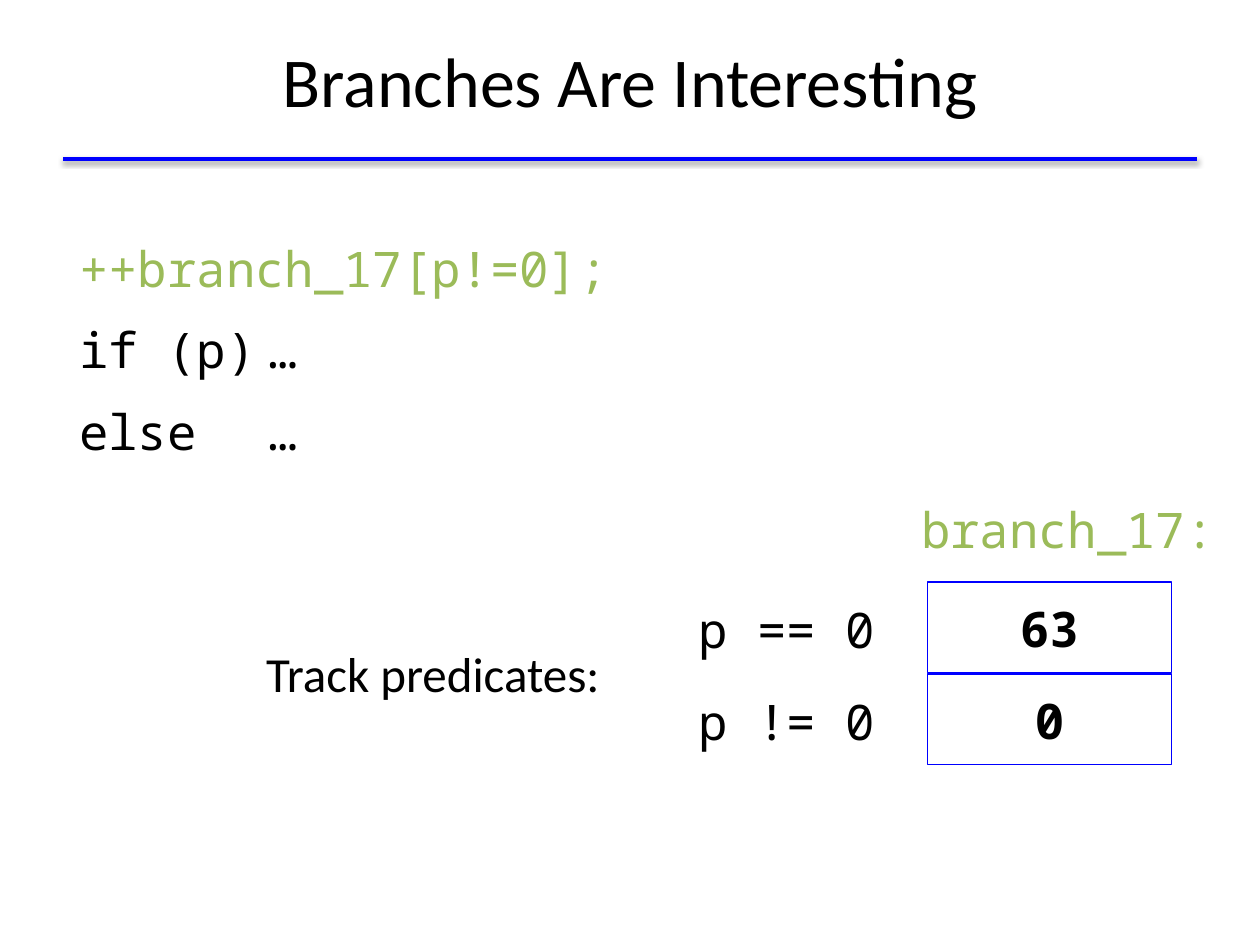
from dataclasses import dataclass

import pptx
import pptx.dml.color
import pptx.enum.shapes
import pptx.enum.text
import pptx.oxml
import pptx.oxml.ns
import pptx.util

Inches = pptx.util.Inches
Pt = pptx.util.Pt
Align = pptx.enum.text.PP_ALIGN
Anchor = pptx.enum.text.MSO_ANCHOR

MONO = "Noto Sans Mono"
SANS = "Calibri"
BLACK, BLUE, GREEN, WHITE = "000000", "0000FF", "9BBB59", "FFFFFF"


@dataclass
class Box:
    left: float
    top: float
    width: float
    height: float

    def lengths(self):
        return [Inches(v) for v in (self.left, self.top, self.width, self.height)]


@dataclass
class Counter:
    predicate: str
    count: str


def color(hex_code: str):
    return pptx.dml.color.RGBColor.from_string(hex_code)


def write(shape, *lines, font=MONO, size=28, colors=(BLACK,), bold=False,
          align=Align.CENTER, anchor=Anchor.MIDDLE, spacing=None, before=0,
          margin=0.13, tabs=()):
    frame = shape.text_frame
    frame.word_wrap = True
    frame.vertical_anchor = anchor
    frame.margin_left = frame.margin_right = Inches(0.13)
    frame.margin_top = frame.margin_bottom = Inches(margin)
    for index, line in enumerate(lines):
        paragraph = frame.add_paragraph() if index else frame.paragraphs[0]
        paragraph.alignment = align
        paragraph.line_spacing = spacing
        paragraph.space_before = Pt(before)
        run = paragraph.add_run()
        run.text = line
        run.font.name = font
        run.font.size = Pt(size)
        run.font.bold = bold
        run.font.color.rgb = color(colors[min(index, len(colors) - 1)])
        if tabs:
            stops = "".join(f'<a:tab pos="{Inches(t)}" algn="l"/>' for t in tabs)
            paragraph._p.get_or_add_pPr().append(pptx.oxml.parse_xml(
                f'<a:tabLst {pptx.oxml.ns.nsdecls("a")}>{stops}</a:tabLst>'))


def label(slide, box: Box, *lines, **style):
    write(slide.shapes.add_textbox(*box.lengths()), *lines, **style)


def rectangle(slide, box: Box, fill=None, line=None):
    shape = slide.shapes.add_shape(
        pptx.enum.shapes.MSO_SHAPE.RECTANGLE, *box.lengths())
    shape.shadow.inherit = False
    if fill:
        shape.fill.solid()
        shape.fill.fore_color.rgb = color(fill)
    else:
        shape.fill.background()
    if line:
        shape.line.color.rgb = color(line)
        shape.line.width = Pt(0.75)
    else:
        shape.line.fill.background()
    return shape


def title_rule(slide, left: float, right: float, y: float):
    rule = slide.shapes.add_connector(
        pptx.enum.shapes.MSO_CONNECTOR.STRAIGHT,
        Inches(left), Inches(y), Inches(right), Inches(y))
    rule.line.color.rgb = color(BLUE)
    rule.line.width = Pt(2)
    rule._element.spPr.append(pptx.oxml.parse_xml(
        f'<a:effectLst {pptx.oxml.ns.nsdecls("a")}>'
        f'<a:outerShdw blurRad="{Pt(3.1)}" dist="{Pt(1.6)}" dir="5400000" rotWithShape="0">'
        f'<a:srgbClr val="{BLACK}"><a:alpha val="38000"/></a:srgbClr>'
        '</a:outerShdw></a:effectLst>'))


def counter_row(slide, counter: Counter, top: float):
    cell = rectangle(slide, Box(7.36, top, 1.94, 0.72), line=BLUE)
    write(cell, counter.count, bold=True)
    label(slide, Box(5.15, top - 0.04, 2.19, 0.82), counter.predicate, before=7.9)


def main():
    deck = pptx.Presentation()
    deck.slide_width, deck.slide_height = Inches(10), Inches(7.5)
    slide = deck.slides.add_slide(deck.slide_layouts[6])

    title_rule(slide, 0.5, 9.5, 1.26)
    label(slide, Box(0.5, 0.01, 9, 1.25), "Branches Are Interesting",
          font=SANS, size=40)

    code = rectangle(slide, Box(0.5, 1.75, 9, 4.95), fill=WHITE)
    write(code, "++branch_17[p!=0];", "if (p)\t…", "else\t\t…",
          colors=(GREEN, BLACK), align=Align.LEFT, anchor=Anchor.TOP,
          spacing=1.15, before=7.9, margin=0.07, tabs=(1, 1.5))

    counters = [Counter("p == 0", "63"), Counter("p != 0", "0")]
    for row, counter in enumerate(counters):
        counter_row(slide, counter, 4.62 + row * 0.73)

    label(slide, Box(7.18, 3.71, 2.79, 0.91), "branch_17:", colors=(GREEN,),
          align=Align.LEFT, spacing=1.15, before=7.9)
    label(slide, Box(1.77, 4.45, 3.33, 1.71), "Track predicates:", font=SANS,
          spacing=1.15, before=7.9)

    deck.save("out.pptx")


if __name__ == "__main__":
    main()
